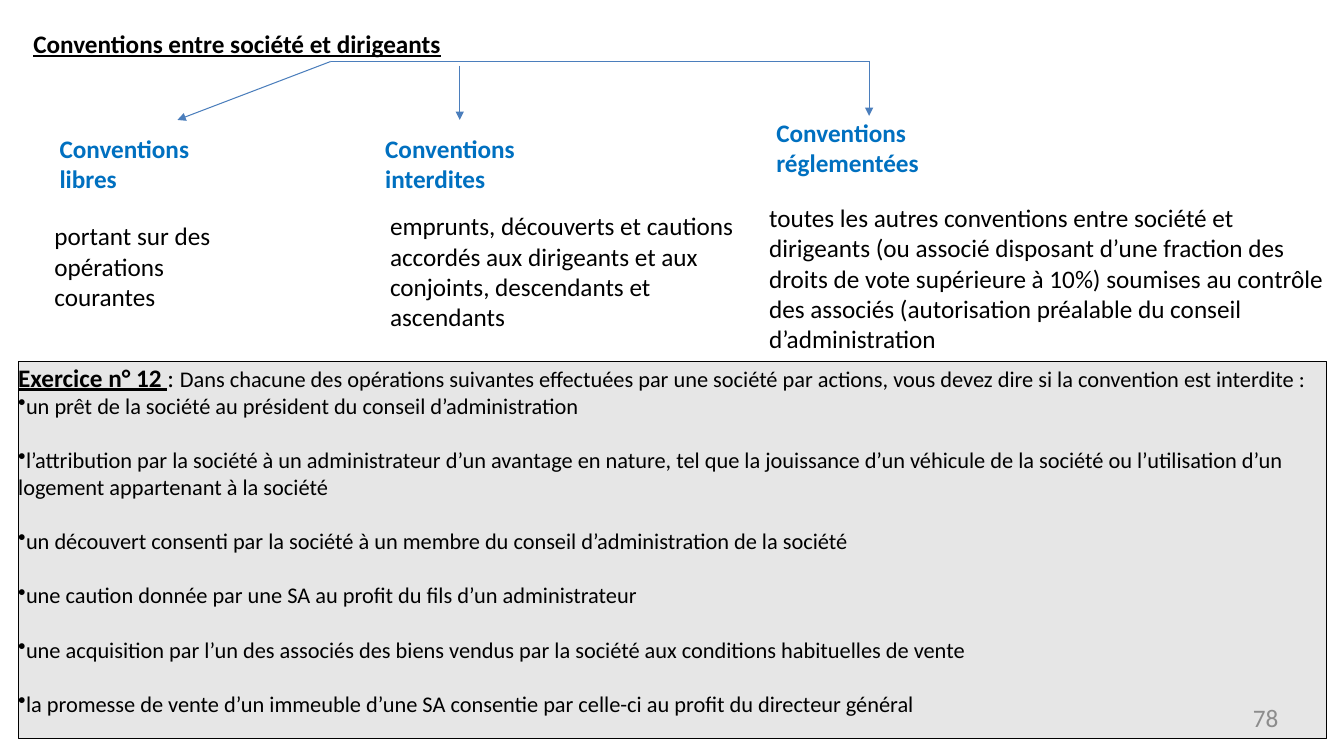
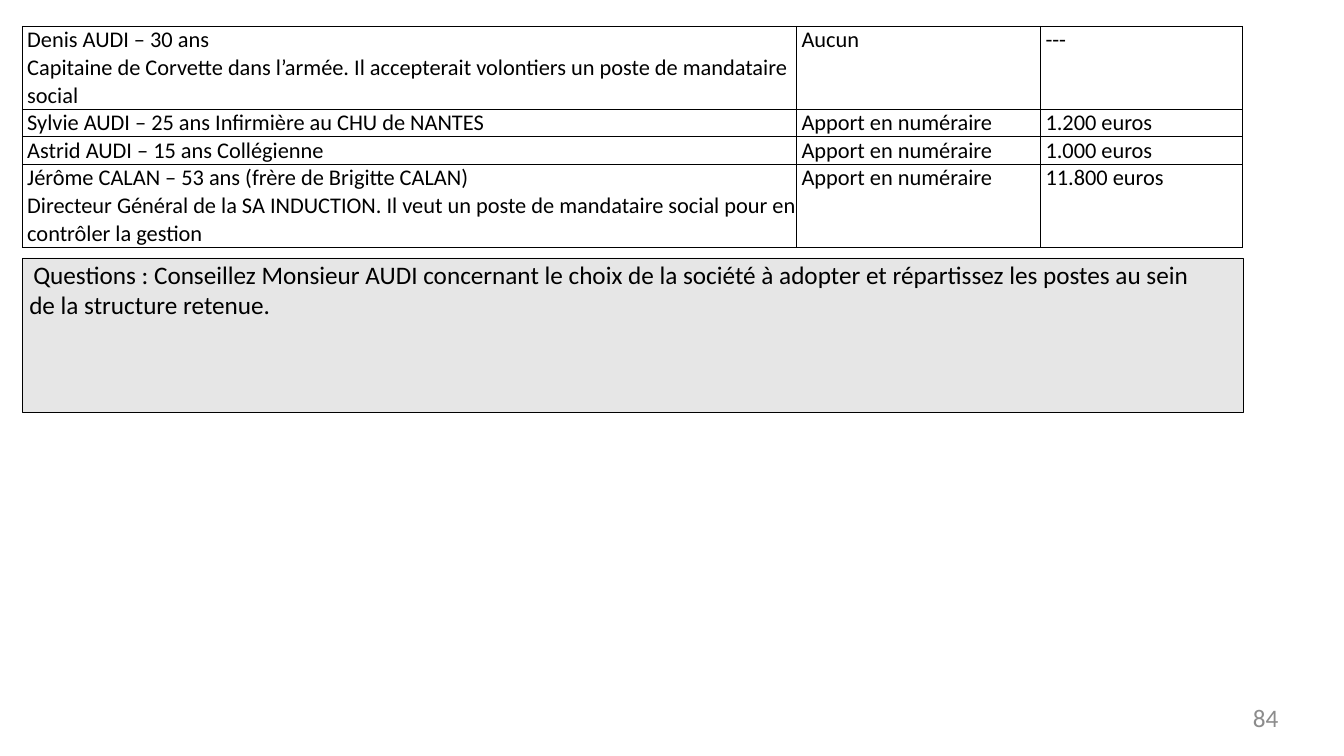
from lxml import etree
from pptx import Presentation
from pptx.dml.color import RGBColor
from pptx.enum.shapes import MSO_CONNECTOR, MSO_SHAPE
from pptx.enum.text import MSO_ANCHOR, PP_ALIGN
from pptx.oxml.ns import qn
from pptx.util import Inches, Pt

STRAIGHT = MSO_CONNECTOR.STRAIGHT
RECTANGLE = MSO_SHAPE.RECTANGLE
TOP = MSO_ANCHOR.TOP
LEFT, RIGHT = PP_ALIGN.LEFT, PP_ALIGN.RIGHT

COLORS = {"text": "000000", "heading": "0070C0", "arrow": "4B7EBC",
          "panel": "E6E6E6", "number": "8C8C8C"}
FONT = "Calibri"
BODY = {"size": Pt(18), "color": "text"}
SMALL = {"size": Pt(16), "color": "text"}
TITLE = {**BODY, "bold": True, "underline": True}
HEADING = {"size": Pt(18), "color": "heading", "bold": True}
NUMBER = {"size": Pt(18), "color": "number"}

NO_INSET = (0, 0, 0, 0)
HEADING_INSET = (0.05, 0.01, 0, 0)
TEXT_INSET = (0.1, 0.05, 0.1, 0.05)

CONVENTIONS = [
    ("Conventions libres", (0.54, 1.31, 1.45, 0.62),
     "portant sur des opérations courantes",
     (0.54, 2.16, 1.83, 0.93), (0, 0.03, 0, 0)),
    ("Conventions interdites", (3.77, 1.31, 1.45, 0.62),
     "emprunts, découverts et cautions accordés aux dirigeants et aux "
     "conjoints, descendants et ascendants",
     (3.77, 2.04, 3.73, 1.31), TEXT_INSET),
    ("Conventions réglementées", (7.65, 1.15, 1.66, 0.62),
     "toutes les autres conventions entre société et dirigeants (ou associé "
     "disposant d’une fraction des droits de vote supérieure à 10%) soumises "
     "au contrôle des associés (autorisation préalable du conseil "
     "d’administration",
     (7.53, 1.96, 5.8, 1.62), TEXT_INSET),
]
BRANCHES = [
    ((3.28, 0.61), (8.62, 0.61), False),
    ((8.62, 0.61), (8.62, 1.15), True),
    ((4.56, 0.65), (4.56, 1.19), True),
    ((3.28, 0.61), (1.76, 1.19), True),
]
EXERCISE = [
    ("Exercice n° 12 ", TITLE),
    (": ", BODY),
    ("Dans chacune des opérations suivantes effectuées par une société par "
     "actions, vous devez dire si la convention est interdite :", SMALL),
]
OPERATIONS = [
    "un prêt de la société au président du conseil d’administration",
    "l’attribution par la société à un administrateur d’un avantage en nature, "
    "tel que la jouissance d’un véhicule de la société ou l’utilisation d’un "
    "logement appartenant à la société",
    "un découvert consenti par la société à un membre du conseil "
    "d’administration de la société",
    "une caution donnée par une SA au profit du fils d’un administrateur",
    "une acquisition par l’un des associés des biens vendus par la société aux "
    "conditions habituelles de vente",
    "la promesse de vente d’un immeuble d’une SA consentie par celle-ci au "
    "profit du directeur général",
]
CONTRIBUTIONS = [
    (["Denis AUDI – 30 ans",
      "Capitaine de Corvette dans l’armée. Il accepterait volontiers un poste "
      "de mandataire social"], ["Aucun"], ["---"]),
    (["Sylvie AUDI – 25 ans Infirmière au CHU de NANTES"],
     ["Apport en numéraire"], ["1.200 euros"]),
    (["Astrid AUDI – 15 ans Collégienne"],
     ["Apport en numéraire"], ["1.000 euros"]),
    (["Jérôme CALAN – 53 ans (frère de Brigitte CALAN)",
      "Directeur Général de la SA INDUCTION. Il veut un poste de mandataire "
      "social pour en contrôler la gestion"],
     ["Apport en numéraire"], ["11.800 euros"]),
]
COLUMN_WIDTHS = (7.68, 2.42, 2)
LINE_HEIGHT = 0.27
QUESTION = ("Questions : Conseillez Monsieur AUDI concernant le choix de la "
            "société à adopter et répartissez les postes au sein de la "
            "structure retenue.")


def rgb(name):
    return RGBColor.from_string(COLORS[name])


def lengths(values):
    return [Inches(value) for value in values]


def set_insets(target, insets):
    for side, value in zip(("left", "top", "right", "bottom"), insets):
        setattr(target, f"margin_{side}", Inches(value))


def add_span(para, text, style):
    span = para.add_run()
    span.text = text
    span.font.name = FONT
    for name, value in style.items():
        if name == "color":
            span.font.color.rgb = rgb(value)
        else:
            setattr(span.font, name, value)


def fill_frame(frame, paragraphs, align=LEFT, gap=0):
    for index, spans in enumerate(paragraphs):
        para = frame.add_paragraph() if index else frame.paragraphs[0]
        para.alignment = align
        if index and gap:
            para.space_before = Pt(gap)
        for text, style in spans:
            add_span(para, text, style)


def prepare_frame(box, insets):
    frame = box.text_frame
    frame.word_wrap = True
    frame.vertical_anchor = TOP
    set_insets(frame, insets)
    return frame


def add_text(page, place, text, style, insets, align=LEFT):
    box = page.shapes.add_textbox(*lengths(place))
    fill_frame(prepare_frame(box, insets), [[(text, style)]], align)


def add_panel(page, place, spans, insets):
    panel = page.shapes.add_shape(RECTANGLE, *lengths(place))
    panel.shadow.inherit = False
    panel.fill.solid()
    panel.fill.fore_color.rgb = rgb("panel")
    panel.line.color.rgb = rgb("text")
    panel.line.width = Pt(0.5)
    frame = prepare_frame(panel, insets)
    fill_frame(frame, [spans])
    return frame


def add_bullets(frame, items, gap):
    for index, item in enumerate(items):
        para = frame.add_paragraph()
        para.alignment = LEFT
        etree.SubElement(para._p.get_or_add_pPr(), qn("a:buChar"), char="•")
        if index:
            para.space_before = Pt(gap)
        add_span(para, item, SMALL)


def add_branch(page, start, end, arrow):
    branch = page.shapes.add_connector(STRAIGHT, *lengths(start + end))
    branch.line.color.rgb = rgb("arrow")
    branch.line.width = Pt(0.75)
    if arrow:
        etree.SubElement(branch.line._get_or_add_ln(), qn("a:tailEnd"),
                         type="triangle")
    etree.SubElement(branch._element.spPr, qn("a:effectLst"))


def add_borders(cell):
    properties = cell._tc.get_or_add_tcPr()
    for index, side in enumerate("LRTB"):
        border = etree.Element(qn(f"a:ln{side}"), w=str(Pt(0.5)))
        fill = etree.SubElement(border, qn("a:solidFill"))
        etree.SubElement(fill, qn("a:srgbClr"), val=COLORS["text"])
        properties.insert(index, border)


def add_contributions(page, left, top):
    heights = [LINE_HEIGHT * (2 * len(row[0]) - 1) for row in CONTRIBUTIONS]
    place = (left, top, sum(COLUMN_WIDTHS), sum(heights))
    table = page.shapes.add_table(len(heights), len(COLUMN_WIDTHS),
                                  *lengths(place)).table
    table.first_row = table.horz_banding = False
    for column, width in zip(table.columns, COLUMN_WIDTHS):
        column.width = Inches(width)
    for row, height, contents in zip(table.rows, heights, CONTRIBUTIONS):
        row.height = Inches(height)
        for cell, texts in zip(row.cells, contents):
            set_insets(cell, (0.05, 0, 0, 0))
            cell.vertical_anchor = TOP
            cell.fill.background()
            add_borders(cell)
            fill_frame(cell.text_frame, [[(text, SMALL)] for text in texts],
                       gap=0.7)


def add_page(deck, number):
    return deck.slides.add_slide(deck.slide_layouts[6]), number


def add_number(page, number):
    add_text(page, (9.61, 6.97, 3.07, 0.3), number, NUMBER, NO_INSET, RIGHT)


def build_conventions(page):
    add_text(page, (0.32, 0.27, 6.11, 0.32),
             "Conventions entre société et dirigeants", TITLE,
             (0.01, 0.01, 0, 0))
    for heading, heading_place, text, text_place, insets in CONVENTIONS:
        add_text(page, heading_place, heading, HEADING, HEADING_INSET)
        add_text(page, text_place, text, BODY, insets)
    for start, end, arrow in BRANCHES:
        add_branch(page, start, end, arrow)
    frame = add_panel(page, (0.18, 3.59, 12.98, 3.74), EXERCISE, NO_INSET)
    add_bullets(frame, OPERATIONS, 19.5)


def build_questions(page):
    frame = add_panel(page, (0.22, 2.56, 12.11, 1.53), [(QUESTION, BODY)],
                      (0.07, 0.01, 0.5, 0))
    frame.paragraphs[0]._p.get_or_add_pPr().set("indent", str(Inches(0.04)))
    add_contributions(page, 0.22, 0.26)


def main():
    deck = Presentation()
    deck.slide_width, deck.slide_height = Inches(13.33), Inches(7.5)
    for number, build in (("78", build_conventions), ("84", build_questions)):
        page = deck.slides.add_slide(deck.slide_layouts[6])
        build(page)
        add_number(page, number)
    deck.save("out.pptx")


if __name__ == "__main__":
    main()
